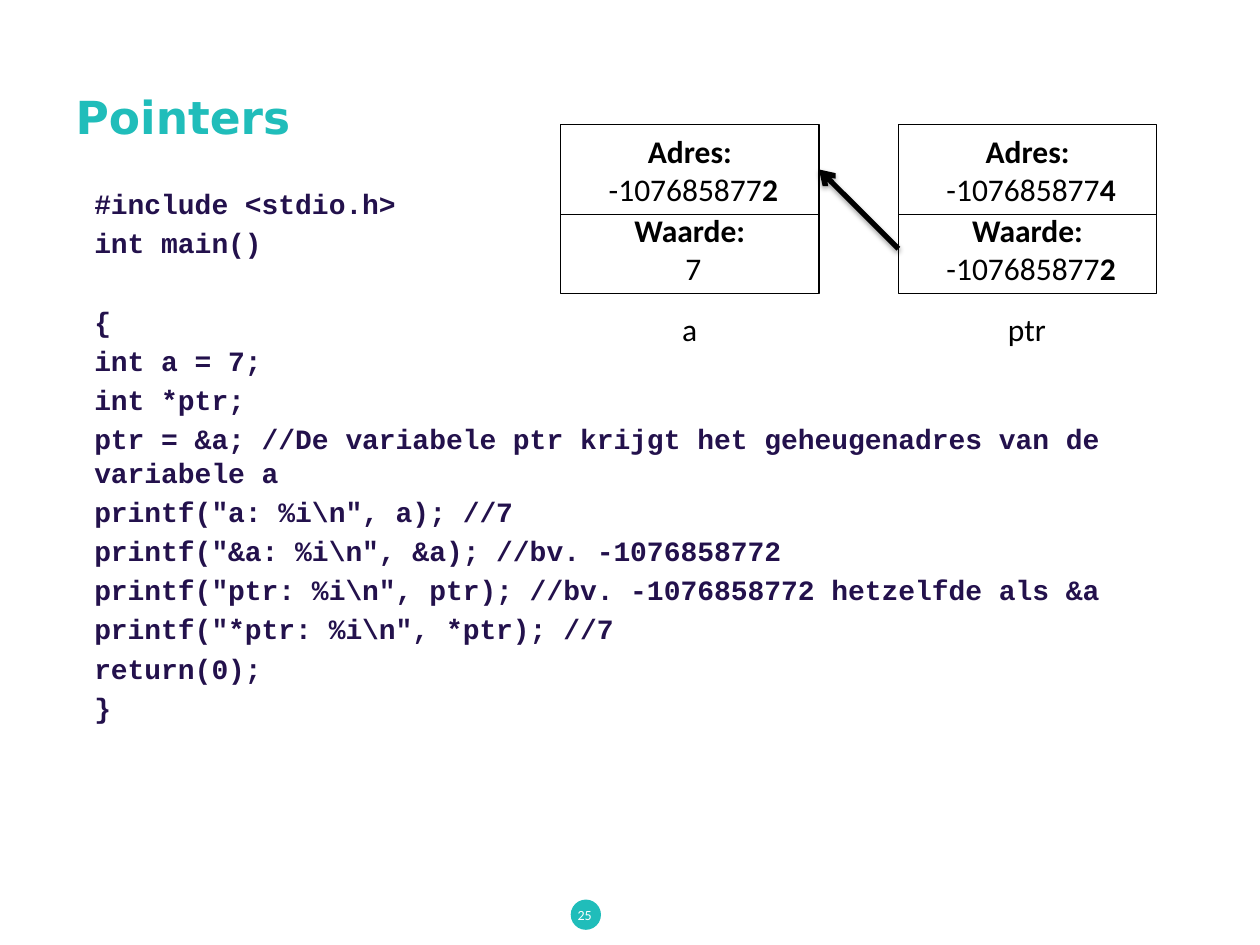
from lxml import etree
from pptx import Presentation
from pptx.enum import shapes, text
from pptx.oxml import ns
from pptx.util import Pt

COLORS = {"teal": "20BDBA", "code": "23114C", "ink": "000000", "paper": "FFFFFF"}
CODE = r'''#include <stdio.h>
int main()
{
int a = 7;
int *ptr;
ptr = &a; //De variabele ptr krijgt het geheugenadres van de variabele a
printf("a: %i\n", a); //7
printf("&a: %i\n", &a); //bv. -1076858772
printf("ptr: %i\n", ptr); //bv. -1076858772 hetzelfde als &a
printf("*ptr: %i\n", *ptr); //7
return(0);
}'''
CODE_LINE, CODE_GAP = 19.2, 3.2
CELL_WIDTH, CELL_HEIGHT, CELL_STEP = 147.6, 51.1, 45.3
ADDRESS = " -107685877"


def rgb(name):
    return ns and RGBColor.from_string(COLORS[name])


from pptx.dml.color import RGBColor


def style(paragraph, name, size, color, bold=None):
    font = paragraph.font
    font.name, font.size, font.bold = name, Pt(size), bold
    font.color.rgb = rgb(color)


def add_title(slide, left, top, width, height):
    title = slide.shapes.title
    title.left, title.top, title.width, title.height = map(Pt, (left, top, width, height))
    frame = title.text_frame
    frame.text = "Pointers"
    frame.vertical_anchor = text.MSO_ANCHOR.MIDDLE
    frame.paragraphs[0].alignment = text.PP_ALIGN.LEFT
    style(frame.paragraphs[0], "DejaVu Sans", 26, "teal", True)


def add_code(slide, left, top, width, height):
    frame = slide.shapes.add_textbox(*map(Pt, (left, top, width, height))).text_frame
    frame.word_wrap = True
    frame.text = CODE
    for index, line in enumerate(frame.paragraphs):
        line.line_spacing = Pt(CODE_LINE)
        if index:
            opens_body = line.text == "{"
            line.space_before = Pt(2 * CODE_GAP + CODE_LINE if opens_body else CODE_GAP)
        style(line, "Courier New", 16, "code", True)


def add_cell(slide, left, top, heading, value, last_digit):
    cell = slide.shapes.add_shape(shapes.MSO_SHAPE.RECTANGLE,
                                  *map(Pt, (left, top, CELL_WIDTH, CELL_HEIGHT)))
    cell.shadow.inherit = False
    cell.fill.solid()
    cell.fill.fore_color.rgb = rgb("paper")
    cell.line.color.rgb = rgb("ink")
    cell.line.width = Pt(0.75)
    frame = cell.text_frame
    frame.vertical_anchor = text.MSO_ANCHOR.MIDDLE
    lines = [[(heading, True)], [(value, False), (last_digit, True)]]
    for index, parts in enumerate(lines):
        paragraph = frame.add_paragraph() if index else frame.paragraphs[0]
        paragraph.alignment = text.PP_ALIGN.CENTER
        style(paragraph, "Calibri", 18, "ink")
        for words, bold in parts:
            if words:
                run = paragraph.add_run()
                run.text, run.font.bold = words, bold
    return cell


def add_variable(slide, left, top, name, name_width, address_digit, value, value_digit=""):
    """Draw one variable's memory cells and name; return the address and value cells."""
    value_cell = add_cell(slide, left, top + CELL_STEP, "Waarde:", value, value_digit)
    label = slide.shapes.add_textbox(Pt(left + (CELL_WIDTH - name_width) / 2),
                                     Pt(top + 102.2), Pt(name_width), Pt(28.8))
    frame = label.text_frame
    frame.word_wrap = False
    frame.auto_size = text.MSO_AUTO_SIZE.SHAPE_TO_FIT_TEXT
    frame.text = name
    style(frame.paragraphs[0], "Calibri", 18, "ink")
    address_cell = add_cell(slide, left, top, "Adres:", ADDRESS, address_digit)
    return address_cell, value_cell


def add_pointer_arrow(slide, value_cell, address_cell):
    arrow = slide.shapes.add_connector(shapes.MSO_CONNECTOR.STRAIGHT, 0, 0, 0, 0)
    arrow.begin_connect(value_cell, 1)
    arrow.end_connect(address_cell, 3)
    arrow.line.color.rgb = rgb("ink")
    arrow.line.width = Pt(3)
    etree.SubElement(arrow.line._get_or_add_ln(), ns.qn("a:tailEnd"), type="arrow")
    effects = etree.SubElement(arrow._element.spPr, ns.qn("a:effectLst"))
    shadow = etree.SubElement(effects, ns.qn("a:outerShdw"), blurRad=str(Pt(3.1)),
                              dist=str(Pt(1.6)), dir="5400000", rotWithShape="0")
    color = etree.SubElement(shadow, ns.qn("a:srgbClr"), val=COLORS["ink"])
    etree.SubElement(color, ns.qn("a:alpha"), val="38000")


def add_memory_diagram(slide, left, top):
    a_address, _ = add_variable(slide, left, top, "a", 23, "2", " 7")
    _, ptr_value = add_variable(slide, left + 193, top, "ptr", 36.7, "4", ADDRESS, "2")
    add_pointer_arrow(slide, ptr_value, a_address)


def add_page_number(slide, left, top, width, height):
    diameter = 17.3
    badge = slide.shapes.add_shape(
        shapes.MSO_SHAPE.OVAL, Pt(left + (width - diameter) / 2 + 0.7),
        Pt(top + (height - diameter) / 2), Pt(diameter), Pt(diameter))
    badge.shadow.inherit = False
    badge.fill.solid()
    badge.fill.fore_color.rgb = rgb("teal")
    badge.line.fill.background()
    frame = slide.shapes.add_textbox(*map(Pt, (left, top, width, height))).text_frame
    frame.word_wrap = True
    frame.vertical_anchor = text.MSO_ANCHOR.MIDDLE
    frame.text = "25"
    frame.paragraphs[0].alignment = text.PP_ALIGN.CENTER
    style(frame.paragraphs[0], "Calibri", 8, "paper")


def main():
    deck = Presentation()
    deck.slide_width, deck.slide_height = Pt(720), Pt(540)
    slide = deck.slides.add_slide(deck.slide_layouts[5])
    add_page_number(slide, 252, 508.3, 164.2, 28.8)
    add_code(slide, 46.8, 103, 648, 337)
    add_title(slide, 36, 21.6, 648, 90)
    add_memory_diagram(slide, 320.4, 71.3)
    deck.save("out.pptx")


if __name__ == "__main__":
    main()
